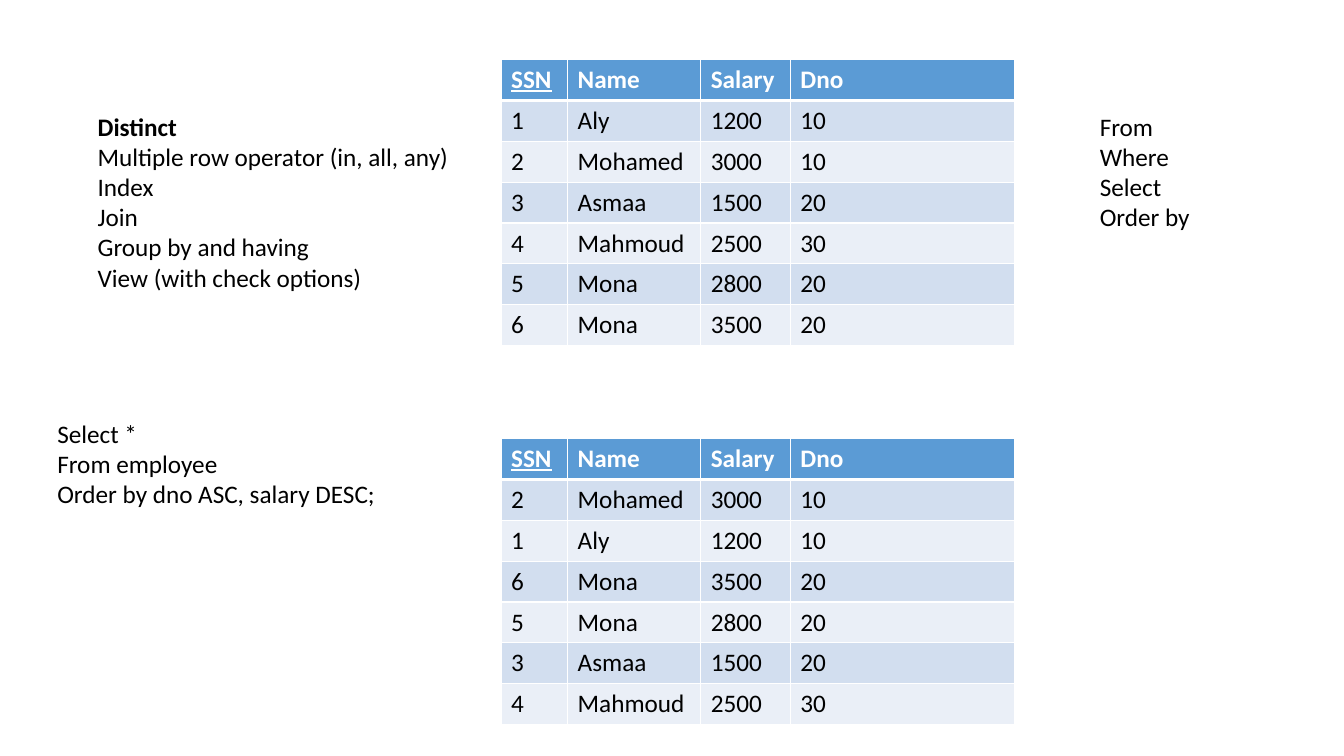
from lxml.etree import SubElement
from pptx import Presentation
from pptx.dml.color import RGBColor
from pptx.enum.text import MSO_AUTO_SIZE
from pptx.oxml.ns import qn
from pptx.util import Inches, Pt

COLORS = {
    "text": "000000",
    "white": "FFFFFF",
    "header": "5B9BD5",
    "odd_row": "D2DEEF",
    "even_row": "EAEFF7",
}
HEADINGS = ("SSN", "Name", "Salary", "Dno")
EMPLOYEES = [
    (1, "Aly", 1200, 10),
    (2, "Mohamed", 3000, 10),
    (3, "Asmaa", 1500, 20),
    (4, "Mahmoud", 2500, 30),
    (5, "Mona", 2800, 20),
    (6, "Mona", 3500, 20),
]
COLUMN_WIDTHS = (0.66, 1.32, 0.89, 2.22)
TABLE_LEFT, TABLE_HEIGHT = 4.97, 2.84


class QuerySlide:
    font_name = "Calibri"
    font_size = Pt(18)

    def __init__(self, slide):
        self.slide = slide

    def add_run(self, paragraph, text, color="text", bold=False, underline=False):
        run = paragraph.add_run()
        run.text = text
        run.font.name = self.font_name
        run.font.size = self.font_size
        run.font.bold = bold
        run.font.underline = underline
        run.font.color.rgb = RGBColor.from_string(COLORS[color])

    def add_lines(self, left, top, width, height, lines, bold_first=False):
        box = self.slide.shapes.add_textbox(
            Inches(left), Inches(top), Inches(width), Inches(height))
        frame = box.text_frame
        frame.word_wrap = False
        frame.auto_size = MSO_AUTO_SIZE.SHAPE_TO_FIT_TEXT
        for index, line in enumerate(lines):
            paragraph = frame.add_paragraph() if index else frame.paragraphs[0]
            self.add_run(paragraph, line, bold=bold_first and index == 0)

    def add_borders(self, cell, row):
        properties = cell._tc.get_or_add_tcPr()
        widths = {"lnL": 1, "lnR": 1,
                  "lnT": 3 if row == 1 else 1,
                  "lnB": 3 if row == 0 else 1}
        for side, width in widths.items():
            border = SubElement(properties, qn(f"a:{side}"), w=str(Pt(width)))
            fill = SubElement(border, qn("a:solidFill"))
            SubElement(fill, qn("a:srgbClr"), val=COLORS["white"])

    def add_employee_table(self, top, employees):
        records = [HEADINGS, *employees]
        table = self.slide.shapes.add_table(
            len(records), len(HEADINGS), Inches(TABLE_LEFT), Inches(top),
            Inches(sum(COLUMN_WIDTHS)), Inches(TABLE_HEIGHT)).table
        for column, width in zip(table.columns, COLUMN_WIDTHS):
            column.width = Inches(width)
        for row, record in enumerate(records):
            is_header = row == 0
            band = "header" if is_header else "odd_row" if row % 2 else "even_row"
            for column, value in enumerate(record):
                cell = table.cell(row, column)
                self.add_borders(cell, row)
                cell.fill.solid()
                cell.fill.fore_color.rgb = RGBColor.from_string(COLORS[band])
                self.add_run(cell.text_frame.paragraphs[0], str(value),
                             color="white" if is_header else "text",
                             bold=is_header,
                             underline=is_header and column == 0)


def main():
    presentation = Presentation()
    presentation.slide_width = Inches(13.33)
    presentation.slide_height = Inches(7.5)
    page = QuerySlide(presentation.slides.add_slide(presentation.slide_layouts[6]))

    page.add_lines(0.87, 1.05, 3.72, 2.52, (
        "Distinct",
        "Multiple row operator (in, all, any)",
        "Index",
        "Join",
        "Group by and having",
        "View (with check options)",
    ), bold_first=True)
    page.add_employee_table(0.59, EMPLOYEES)
    page.add_lines(0.47, 4.1, 3.39, 1.01, (
        "Select *", "From employee", "Order by dno ASC, salary DESC;"))
    page.add_lines(10.81, 1.05, 1.1, 1.31, ("From", "Where", "Select", "Order by"))
    by_department = sorted(EMPLOYEES, key=lambda employee: (employee[3], -employee[2]))
    page.add_employee_table(4.35, by_department)

    presentation.save("out.pptx")


if __name__ == "__main__":
    main()
